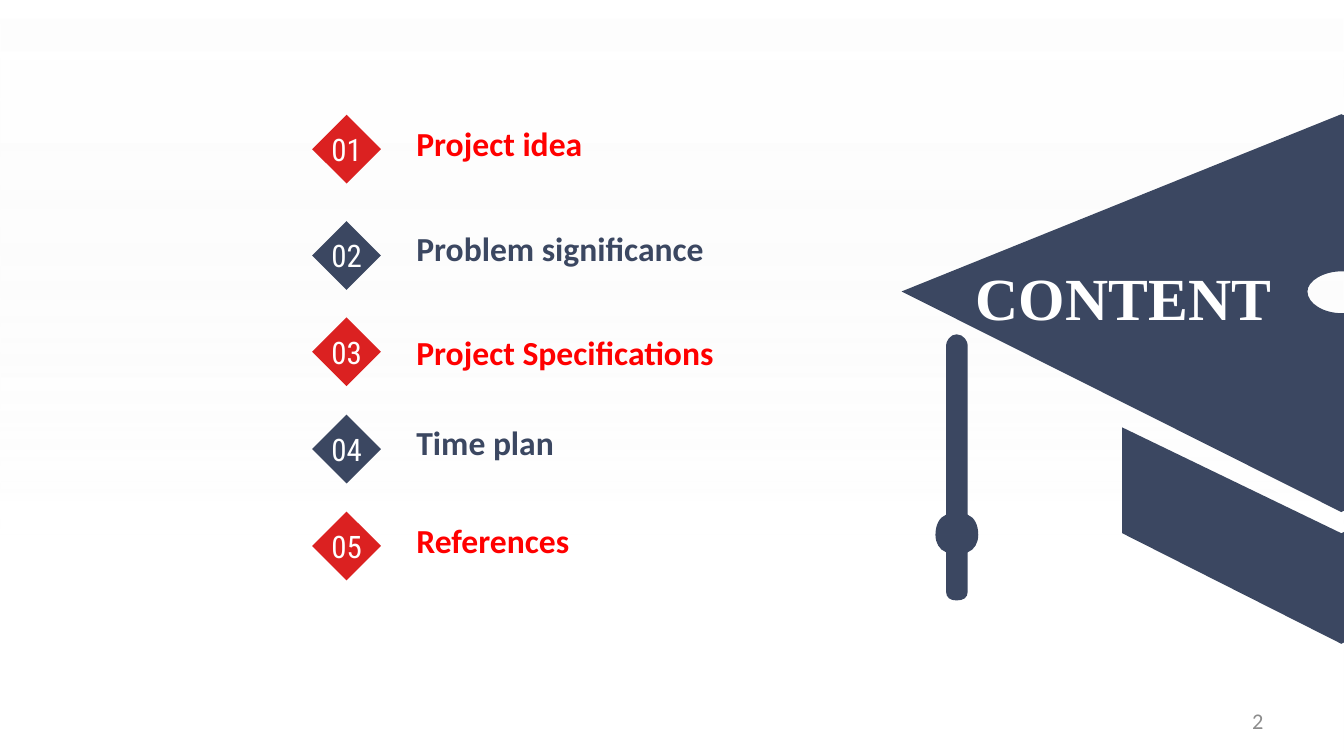
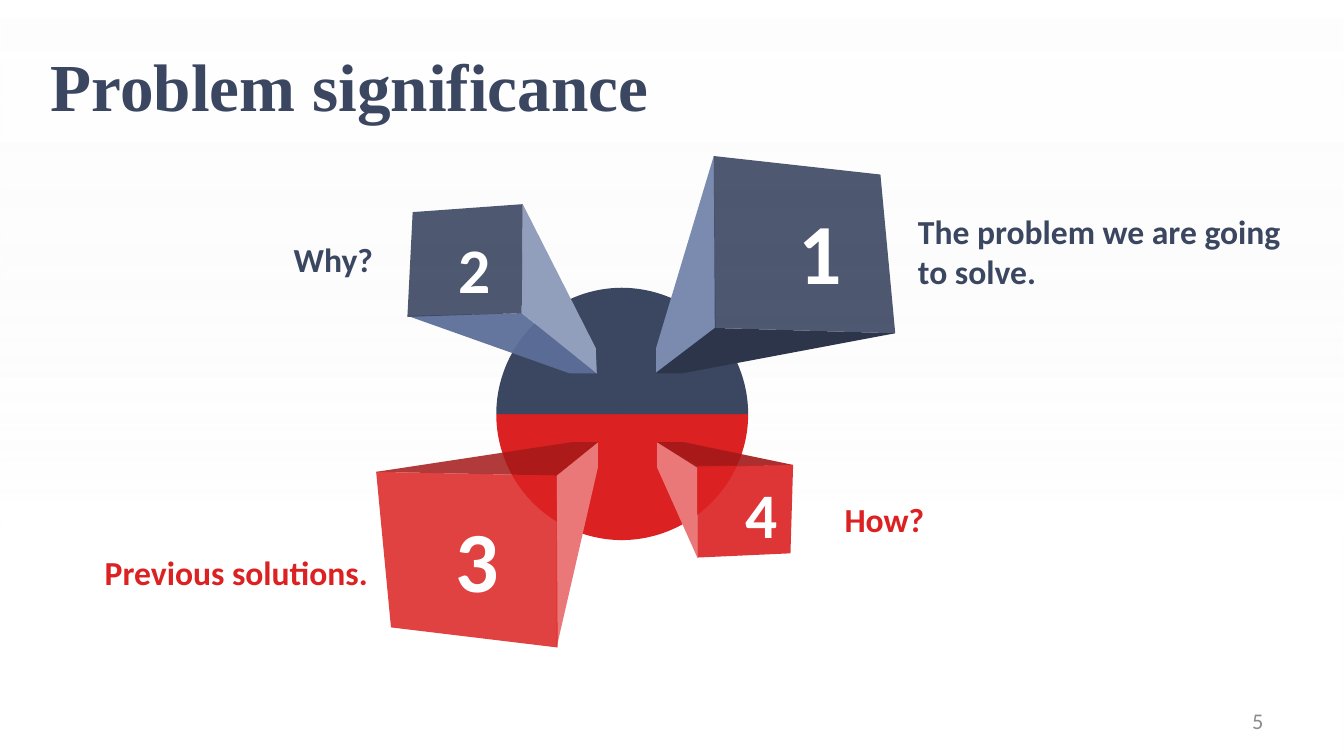
"""Builds a content slide and a problem significance slide for a project talk."""
from lxml.etree import SubElement
from pptx import Presentation
from pptx.dml.color import RGBColor as Rgb
from pptx.enum.shapes import MSO_SHAPE as Shape
from pptx.enum.text import MSO_ANCHOR as Anchor, PP_ALIGN as Align
from pptx.oxml.ns import qn
from pptx.util import Cm, Pt

COLORS = {
    "navy": "3B4761", "navy dark": "2C3549", "navy mid": "5C6F98",
    "navy light": "7B8BAF", "navy pale": "919FBC",
    "red": "DB2121", "red dark": "A41919", "red pale": "EB7878",
    "bright red": "FF0000", "white": "FFFFFF", "mist": "F2F2F2", "gray": "8C8C8C",
}


def write(page, text, left, top, width, height, shape=None, fill=None, font="Calibri",
          size=18, color="navy", bold=True, align=Align.LEFT, anchor=Anchor.TOP,
          wrap=False, insets=(0, 0, 0, 0)):
    place = Cm(left), Cm(top), Cm(width), Cm(height)
    if shape is None:
        box = page.shapes.add_textbox(*place)
    else:
        box = page.shapes.add_shape(shape, *place)
        box.shadow.inherit = False
        box.fill.solid()
        box.fill.fore_color.rgb = Rgb.from_string(COLORS[fill])
        box.line.fill.background()
    frame = box.text_frame
    frame.word_wrap = wrap
    frame.vertical_anchor = anchor
    (frame.margin_left, frame.margin_top,
     frame.margin_right, frame.margin_bottom) = [Cm(inset) for inset in insets]
    para = frame.paragraphs[0]
    para.alignment = align
    span = para.add_run()
    span.text = text
    span.font.name = font
    span.font.size = Pt(size)
    span.font.bold = bold
    span.font.color.rgb = Rgb.from_string(COLORS[color])


def outline(page, contours, color, opacity=100):
    """Draw closed contours of corners (one point) and Bezier curves (three points)."""
    builder = None
    counts = []
    for start, *steps in contours:
        start = [Cm(value) for value in start]
        if builder is None:
            builder = page.shapes.build_freeform(*start)
        else:
            builder.move_to(*start)
        points = []
        for step in steps:
            values = [Cm(value) for value in step]
            points += zip(values[::2], values[1::2])
            counts.append(len(values) // 2)
        builder.add_line_segments(points, close=True)
    figure = builder.convert_to_shape()
    track = figure._element.find(".//" + qn("a:path"))
    lines = iter(track.findall(qn("a:lnTo")))
    for count in counts:
        first, *rest = [next(lines) for _ in range(count)]
        if rest:
            first.tag = qn("a:cubicBezTo")
        for line in rest:
            first.append(line[0])
            track.remove(line)
    figure.shadow.inherit = False
    figure.line.fill.background()
    figure.fill.solid()
    figure.fill.fore_color.rgb = Rgb.from_string(COLORS[color])
    if opacity < 100:
        paint = figure.fill._xPr.find(".//" + qn("a:srgbClr"))
        SubElement(paint, qn("a:alpha"), val=str(opacity * 1000))


PADDED = (0.25, 0.13, 0.25, 0.13)
SERIF = "Times New Roman"

deck = Presentation()
deck.slide_width, deck.slide_height = Cm(25.4), Cm(14.29)
content, significance = [deck.slides.add_slide(deck.slide_layouts[6]) for _ in range(2)]

backdrop = content.shapes.add_shape(Shape.RECTANGLE, 0, 0, deck.slide_width, deck.slide_height)
backdrop.shadow.inherit = False
backdrop.line.fill.background()
backdrop.fill.gradient()
backdrop.fill.gradient_angle = 270
stops = zip(backdrop.fill.gradient_stops, (("white", 0, 55), ("mist", 0.71, 0)))
for stop, (color, position, opacity) in stops:
    stop.color.rgb = Rgb.from_string(COLORS[color])
    stop.position = position
    paint = stop._gs.find(qn("a:srgbClr"))
    SubElement(paint, qn("a:alpha"), val=str(opacity * 1000))
deck.slide_master.shapes._spTree.insert(2, backdrop._element)

cap_base = [(21.21, 8.08), (25.35, 10.08), (29.51, 8.08), (29.51, 10.08),
            (25.35, 12.17), (21.21, 10.08)]
tassel = [
    (18.08, 6.32), (18.21, 6.32, 18.29, 6.45, 18.29, 6.53),
    (18.29, 9.73), (18.42, 9.78, 18.49, 9.93, 18.49, 10.11),
    (18.49, 10.26, 18.42, 10.39, 18.29, 10.44),
    (18.29, 11.18), (18.29, 11.3, 18.21, 11.35, 18.08, 11.35),
    (17.96, 11.35, 17.88, 11.3, 17.88, 11.18),
    (17.88, 10.44), (17.75, 10.39, 17.68, 10.26, 17.68, 10.11),
    (17.68, 9.93, 17.75, 9.78, 17.88, 9.73),
    (17.88, 6.53), (17.88, 6.45, 17.96, 6.32, 18.08, 6.32),
]
button = [
    (25.35, 5.13), (25.02, 5.13, 24.71, 5.31, 24.71, 5.51),
    (24.71, 5.74, 25.02, 5.92, 25.35, 5.92),
    (25.7, 5.92, 26.01, 5.74, 26.01, 5.51),
    (26.01, 5.31, 25.7, 5.13, 25.35, 5.13),
]
board = [(25.35, 2.16), (33.76, 5.51), (25.35, 9.68), (17.04, 5.51)]
outline(content, [cap_base, tassel, button, board], "navy")

topics = [
    ("Project idea", 2.17, 2.58),
    ("Problem significance", 4.18, 4.57),
    ("Project Specifications", 6, 6.53),
    ("Time plan", 7.84, 8.23),
    ("References", 9.67, 10.09),
]
for index, (topic, diamond_top, label_top) in reversed(list(enumerate(topics))):
    diamond_color, label_color = (("red", "bright red"), ("navy", "navy"))[index % 2]
    write(content, f"{index + 1:02}", 5.9, diamond_top, 1.3, 1.3, shape=Shape.DIAMOND,
          fill=diamond_color, font="Roboto Condensed", size=16.6, color="white",
          bold=False, align=Align.CENTER, anchor=Anchor.MIDDLE)
    write(content, topic, 6.88, label_top, 8.26, 0.5, color=label_color,
          anchor=Anchor.BOTTOM, insets=(0.99, 0, 0, 0))
write(content, "CONTENT", 18.1, 4.8, 6.27, 1.37, font=SERIF, size=32, color="white",
      align=Align.CENTER, wrap=True, insets=PADDED)

middle = 7.83
for inner, outer in ((11.74, 14.14), (11.76, 9.38)):
    for edge, color in ((10.21, "red"), (5.44, "navy")):
        curve = (inner + 0.55 * (outer - inner), edge,
                 outer, middle + 0.55 * (edge - middle), outer, middle)
        outline(significance, [[(inner, middle), (inner, edge), curve]], color)

blocks = [
    ("1", 14.84, 3.63, 45.9, [
        ("navy light", 100, [(13.49, 2.95), (12.4, 6.58), (12.4, 7.06), (13.53, 6.2)]),
        ("navy dark", 100, [(13.51, 6.2), (12.38, 7.06), (12.88, 7.06), (16.92, 6.3)]),
        ("navy", 90, [(13.49, 2.95), (13.51, 6.2), (16.92, 6.3), (16.64, 3.3)])]),
    ("2", 8.42, 4.22, 34, [
        ("navy mid", 95, [(7.7, 5.97), (10.77, 7.06), (11.28, 7.06), (9.86, 5.92)]),
        ("navy pale", 100, [(9.86, 5.92), (11.28, 7.06), (11.26, 6.58), (9.88, 3.86)]),
        ("navy", 90, [(7.8, 4.01), (7.7, 5.99), (9.86, 5.92), (9.88, 3.86)])]),
    ("3", 8.36, 9.45, 45.9, [
        ("red pale", 100, [(10.52, 12.24), (11.3, 8.84), (11.3, 8.36), (10.52, 8.99)]),
        ("red dark", 85, [(10.52, 8.99), (11.3, 8.36), (10.8, 8.36), (7.11, 8.92)]),
        ("red", 85, [(7.11, 8.92), (7.39, 11.86), (10.54, 12.24), (10.52, 8.99)])]),
    ("4", 13.84, 8.86, 34, [
        ("red pale", 100, [(13.18, 8.81), (12.42, 8.36), (12.42, 8.84), (13.18, 10.54)]),
        ("red dark", 90, [(14.99, 8.79), (12.93, 8.36), (12.42, 8.36), (13.18, 8.84)]),
        ("red", 90, [(13.18, 8.81), (13.18, 10.54), (14.94, 10.46), (14.99, 8.79)])]),
]
for digit, left, top, size, faces in blocks:
    for color, opacity, corners in faces:
        outline(significance, [corners], color, opacity)
    width, height = (1.19, 1.93) if size > 40 else (0.99, 1.47)
    write(significance, digit, left, top, width, height, size=size, color="white",
          insets=PADDED)

write(significance, "How?", 14.9, 9.43, 2.57, 0.51, color="red", align=Align.RIGHT)
write(significance, "Previous solutions.", 1.98, 10.58, 7.24, 0.61, color="red",
      anchor=Anchor.BOTTOM)
write(significance, "Why?", 4.87, 4.51, 2.18, 1.42, align=Align.RIGHT, wrap=True)
write(significance, "The problem we are going to solve.", 17.35, 3.99, 7.24, 1.42, wrap=True)
write(significance, "Problem significance", 0.71, 0.71, 14.6, 1.8, font=SERIF, size=36,
      wrap=True, insets=PADDED)

for page, number in ((content, "2"), (significance, "5")):
    write(page, number, 18.21, 13.24, 5.92, 0.76, size=12, color="gray", bold=False,
          align=Align.RIGHT, anchor=Anchor.MIDDLE, wrap=True, insets=PADDED)

deck.save("out.pptx")
